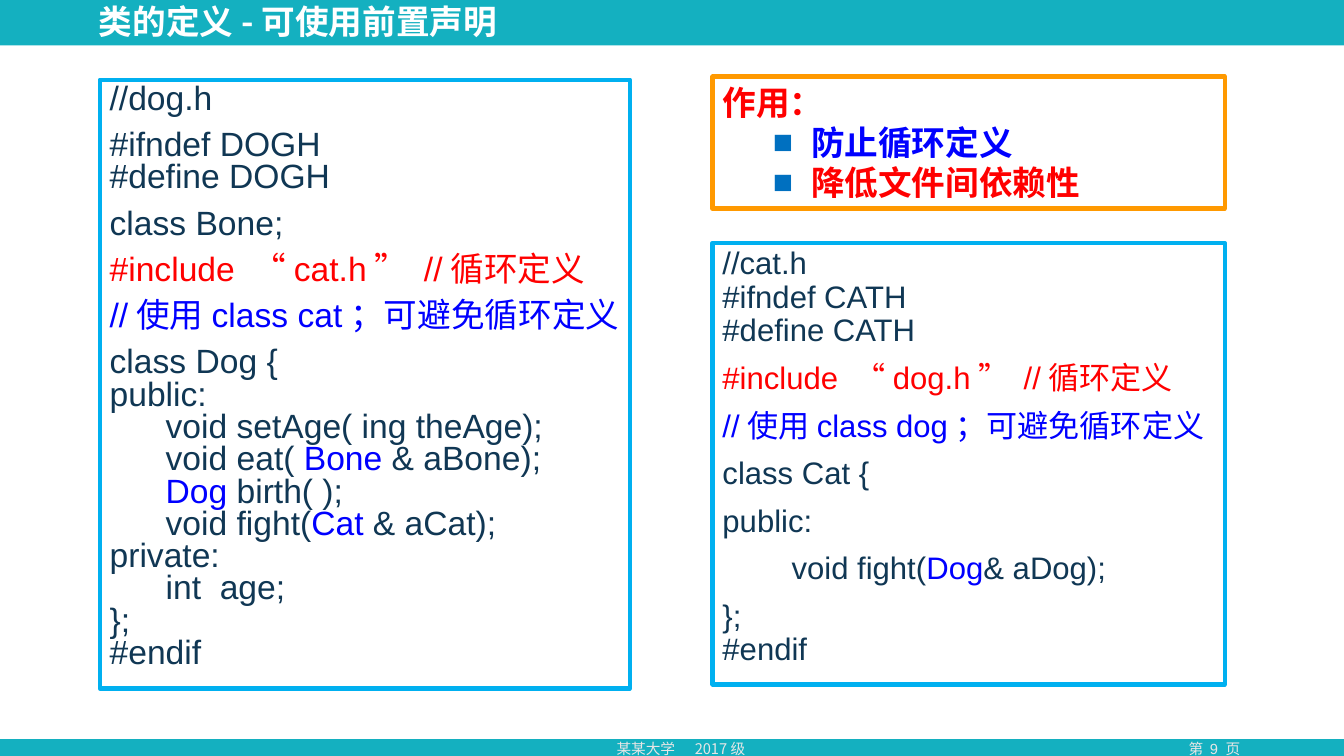
"""Build the slide on forward declarations of classes."""
from lxml import etree
from pptx import Presentation
from pptx.dml.color import RGBColor
from pptx.enum import lang, shapes, text
from pptx.oxml import ns
from pptx.util import Pt

TEAL = RGBColor(0x14, 0xB0, 0xC0)
WHITE = RGBColor(0xFF, 0xFF, 0xFF)
PALE = RGBColor(0xE7, 0xE6, 0xE6)
NAVY = RGBColor(0x10, 0x37, 0x54)
RED = RGBColor(0xFF, 0x00, 0x00)
BLUE = RGBColor(0x00, 0x00, 0xFF)
SKY = RGBColor(0x00, 0xB0, 0xF0)
AMBER = RGBColor(0xFF, 0x99, 0x00)
ARIAL = "Arial"
NOTO = "Noto Sans CJK SC"
WIDE, HIGH = 960, 540
GAP = 10

DOG = [
    (GAP, 0, [("//dog.h", NAVY)]),
    (GAP, 0, [("#ifndef DOGH", NAVY)]),
    (0, 0, [("#define DOGH", NAVY)]),
    (GAP, 0, [("class Bone;", NAVY)]),
    (GAP, 0, [("#include “cat.h” //循环定义", RED)]),
    (GAP, 0, [("//使用class cat；可避免循环定义", BLUE)]),
    (GAP, 0, [("class Dog {", NAVY)]),
    (0, 0, [("public:", NAVY)]),
    (0, 1, [("void setAge( ing theAge);", NAVY)]),
    (0, 1, [("void eat( ", NAVY), ("Bone ", BLUE), ("& aBone);", NAVY)]),
    (0, 1, [("Dog ", BLUE), ("birth( );", NAVY)]),
    (0, 1, [("void fight(", NAVY), ("Cat", BLUE), (" & aCat);", NAVY)]),
    (0, 0, [("private:", NAVY)]),
    (0, 1, [("int  age;", NAVY)]),
    (0, 0, [("};", NAVY)]),
    (0, 0, [("#endif", NAVY)]),
]
CAT = [
    (GAP, 0, [("//cat.h", NAVY)]),
    (0, 0, [("#ifndef CATH", NAVY)]),
    (0, 0, [("#define CATH", NAVY)]),
    (GAP, 0, [("#include “dog.h” //循环定义", RED)]),
    (GAP, 0, [("//使用class dog；可避免循环定义", BLUE)]),
    (GAP, 0, [("class Cat {", NAVY)]),
    (GAP, 0, [("public:", NAVY)]),
    (GAP, 1, [("void fight(", NAVY), ("Dog", BLUE), ("& aDog);", NAVY)]),
    (GAP, 0, [("};", NAVY)]),
    (0, 0, [("#endif", NAVY)]),
]
USES = [("作用：", RED, ARIAL), ("防止循环定义", BLUE, NOTO),
        ("降低文件间依赖性", RED, ARIAL)]


def add_run(para, words, size, color, face=ARIAL, bold=False):
    """Add one formatted run to a paragraph."""
    run = para.add_run()
    run.text = words
    font = run.font
    font.size, font.name, font.bold = Pt(size), face, bold
    font.color.rgb = color
    font.language_id = lang.MSO_LANGUAGE_ID.SIMPLIFIED_CHINESE
    east = etree.Element(ns.qn("a:ea"), typeface=NOTO)
    run.font._element.find(ns.qn("a:latin")).addnext(east)


def next_para(frame, index):
    """Return the first paragraph or a new one, set flush left."""
    para = frame.add_paragraph() if index else frame.paragraphs[0]
    para.alignment = text.PP_ALIGN.LEFT
    return para


def add_rect(slide, box, fill=None, line=None):
    """Add a plain rectangle ready for text from its top."""
    rect = slide.shapes.add_shape(shapes.MSO_SHAPE.RECTANGLE, *map(Pt, box))
    rect.shadow.inherit = False
    if fill is None:
        rect.fill.background()
    else:
        rect.fill.solid()
        rect.fill.fore_color.rgb = fill
    if line is None:
        rect.line.fill.background()
    else:
        rect.line.color.rgb = line
        rect.line.width = Pt(3)
    rect.text_frame.word_wrap = True
    rect.text_frame.vertical_anchor = text.MSO_ANCHOR.TOP
    return rect


def add_code(slide, box, lines, size, pitch, step):
    """Add a framed listing; step is the indent of one level."""
    frame = add_rect(slide, box, line=SKY).text_frame
    for index, (gap, level, runs) in enumerate(lines):
        para = next_para(frame, index)
        para.line_spacing = pitch
        para.space_before = Pt(gap)
        para._p.get_or_add_pPr().set("marL", str(Pt(step * level)))
        for words, color in runs:
            add_run(para, words, size, color)


def add_bullet(para):
    """Give a paragraph a square bullet and a hanging indent."""
    props = para._p.get_or_add_pPr()
    props.set("marL", str(Pt(63.36)))
    props.set("indent", str(Pt(-27.36)))
    tint = etree.SubElement(props, ns.qn("a:buClr"))
    etree.SubElement(tint, ns.qn("a:srgbClr"), val="0070C0")
    etree.SubElement(props, ns.qn("a:buFont"), typeface=ARIAL)
    etree.SubElement(props, ns.qn("a:buChar"), char="■")


def add_uses(slide, box):
    """Add the framed note with its heading and two bullets."""
    frame = add_rect(slide, box, line=AMBER).text_frame
    for index, (words, color, face) in enumerate(USES):
        para = next_para(frame, index)
        if index:
            add_bullet(para)
        add_run(para, words, 24, color, face, True)


def add_foot(slide, box, words, face, align):
    """Add one small footer text and return its paragraph."""
    frame = slide.shapes.add_textbox(*map(Pt, box)).text_frame
    frame.word_wrap = True
    para = frame.paragraphs[0]
    para.alignment = align
    add_run(para, words, 10.5, PALE, face)
    return para


def add_stop(para, place):
    """Set one left tab stop."""
    tabs = etree.SubElement(para._p.get_or_add_pPr(), ns.qn("a:tabLst"))
    etree.SubElement(tabs, ns.qn("a:tab"), pos=str(Pt(place)), algn="l")


def set_title(slide, box, words):
    """Place the title over the band and fill it."""
    title = slide.shapes.title
    title.left, title.top, title.width, title.height = map(Pt, box)
    title.element.getparent().append(title.element)
    frame = title.text_frame
    frame.word_wrap = True
    frame.auto_size = text.MSO_AUTO_SIZE.NONE
    frame.vertical_anchor = text.MSO_ANCHOR.MIDDLE
    para = next_para(frame, 0)
    para.line_spacing = 0.9
    add_run(para, words, 24, WHITE, NOTO, True)


def main():
    """Build and save the deck."""
    deck = Presentation()
    deck.slide_width, deck.slide_height = Pt(WIDE), Pt(HIGH)
    slide = deck.slides.add_slide(deck.slide_layouts[5])
    add_rect(slide, (0, 0, WIDE, HIGH), fill=TEAL)
    add_rect(slide, (0, 32.4, WIDE, 495.4), fill=WHITE)
    add_foot(slide, (815, 524.9, 105, 20), "第 9 页", ARIAL,
             text.PP_ALIGN.CENTER)
    school = add_foot(slide, (433.4, 524.9, 132.5, 20), "某某大学\t2017级",
                      NOTO, text.PP_ALIGN.LEFT)
    add_stop(school, 55.8)
    set_title(slide, (63.4, 2.9, 553, 28), "类的定义-可使用前置声明")
    add_code(slide, (71.3, 56.9, 378.7, 434.9), DOG, 24, 0.8, 40)
    add_code(slide, (509, 173.5, 365.8, 315.4), CAT, 22.2, 0.9, 49.4)
    add_uses(slide, (509, 54.7, 365.8, 94.3))
    deck.save("out.pptx")


main()
